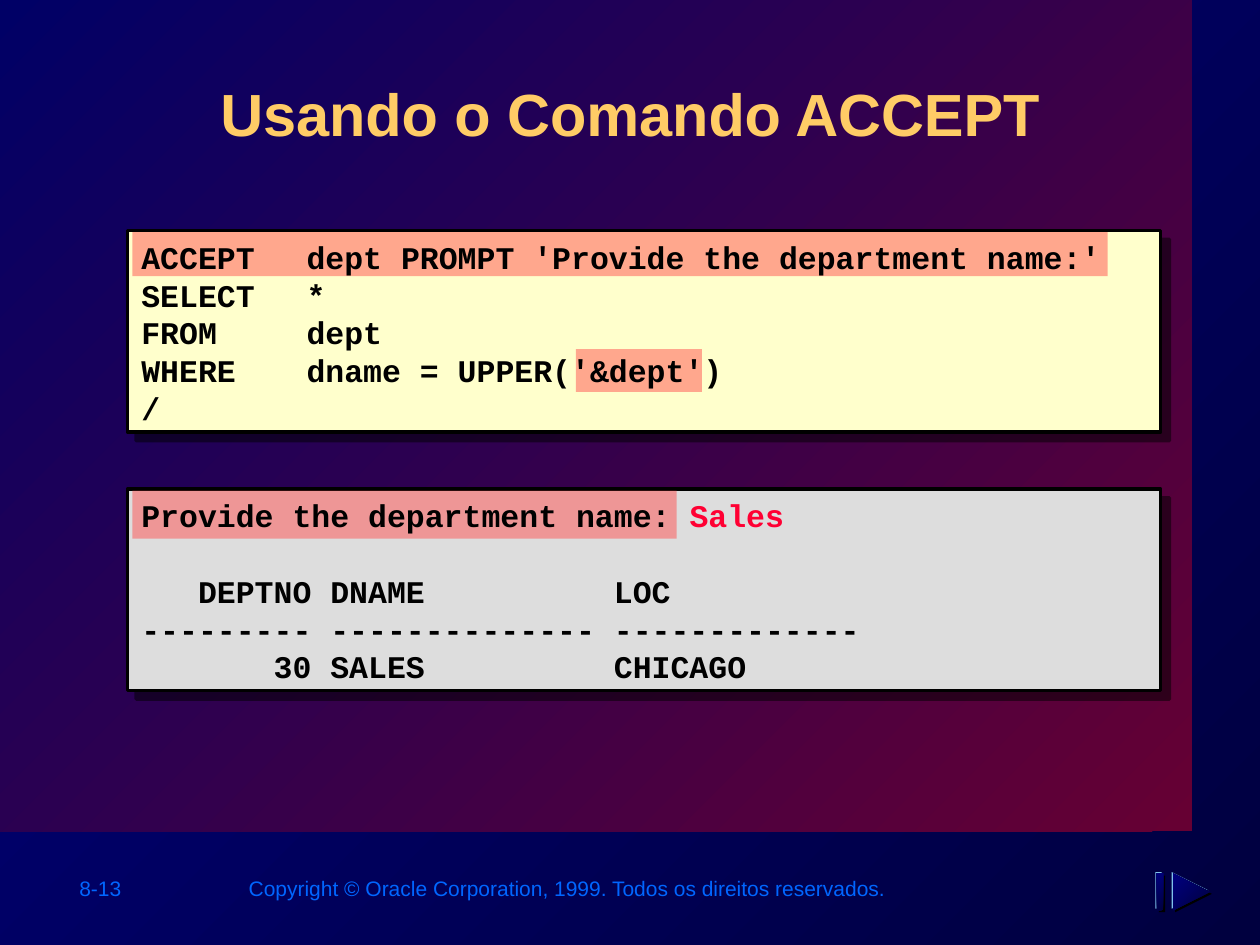
from dataclasses import dataclass

from lxml.etree import SubElement
from pptx import Presentation
from pptx.dml.color import RGBColor
from pptx.enum.shapes import MSO_SHAPE
from pptx.enum.text import MSO_ANCHOR, PP_ALIGN
from pptx.oxml import parse_xml
from pptx.oxml.ns import nsdecls, qn
from pptx.util import Cm, Pt


@dataclass(frozen=True)
class Theme:
    """Colours, fonts and type sizes of the slide."""

    night: tuple = ("00003F", "000080")
    wine: tuple = ("660033", "000066")
    title: str = "FFCC66"
    footer: str = "0066FF"
    code: str = "000000"
    answer: str = "FF0033"
    highlight: str = "FF5050"
    code_panel: str = "FFFFCC"
    result_panel: str = "DDDDDD"
    icon_light: str = "7FC1EB"
    icon_dark: str = "000000"
    sans: str = "Arial"
    mono: str = "Courier New"
    title_size: float = 34
    code_size: float = 18
    code_leading: float = 21.6
    footer_size: float = 12


THEME = Theme()


def paint(fill, colour):
    """Fill with one colour, or with a diagonal gradient for a pair."""
    if isinstance(colour, str):
        fill.solid()
        fill.fore_color.rgb = RGBColor.from_string(colour)
        return
    fill.gradient()
    fill.gradient_angle = 135
    for stop, value in zip(fill.gradient_stops, colour):
        stop.color.rgb = RGBColor.from_string(value)


def shadow_effect(distance):
    """Return a half-transparent black shadow falling to the lower right."""
    return parse_xml(
        f'<a:effectLst {nsdecls("a")}>'
        f'<a:outerShdw blurRad="0" dist="{Pt(distance)}" dir="2700000" algn="ctr" rotWithShape="0">'
        '<a:srgbClr val="000000"><a:alpha val="50000"/></a:srgbClr>'
        "</a:outerShdw></a:effectLst>"
    )


def finish(shape, colour):
    """Give a shape its fill and remove its outline and shadow."""
    shape.shadow.inherit = False
    paint(shape.fill, colour)
    shape.line.fill.background()
    return shape


def add_block(slide, left, top, width, height, colour):
    """Add a plain rectangle."""
    shape = slide.shapes.add_shape(
        MSO_SHAPE.RECTANGLE, Cm(left), Cm(top), Cm(width), Cm(height)
    )
    return finish(shape, colour)


def add_text(slide, left, top, width, height, text):
    """Add an unwrapped text box and return its text frame."""
    box = slide.shapes.add_textbox(Cm(left), Cm(top), Cm(width), Cm(height))
    text_frame = box.text_frame
    text_frame.word_wrap = False
    text_frame.text = text
    return text_frame


def style(run, font, size, colour, bold=False):
    """Format one run."""
    run.font.name = font
    run.font.size = Pt(size)
    run.font.bold = bold
    run.font.color.rgb = RGBColor.from_string(colour)


def add_title(slide, left, top, width, height, text):
    """Add the centred title with its text shadow."""
    text_frame = add_text(slide, left, top, width, height, text)
    text_frame.word_wrap = True
    paragraph = text_frame.paragraphs[0]
    paragraph.alignment = PP_ALIGN.CENTER
    run = paragraph.runs[0]
    style(run, THEME.sans, THEME.title_size, THEME.title, True)
    run.font._element.find(qn("a:solidFill")).addnext(shadow_effect(3))


def add_code_panel(slide, left, top, width, height, colour, lines, highlights):
    """Add a framed panel with highlights behind lines of code."""
    panel = add_block(slide, left, top, width, height, colour)
    panel.line.color.rgb = RGBColor.from_string(THEME.code)
    panel.line.width = Pt(2)
    properties = panel._element.spPr
    properties.replace(properties.find(qn("a:effectLst")), shadow_effect(7.1))

    for x, y, mark_width, mark_height in highlights:
        mark = add_block(
            slide, left + x, top + y, mark_width, mark_height, THEME.highlight
        )
        rgb = mark._element.spPr.find(qn("a:solidFill")).find(qn("a:srgbClr"))
        SubElement(rgb, qn("a:alpha")).set("val", "50000")

    text_frame = add_text(
        slide, left + 0.03, top - 0.02, width - 0.51, height + 0.08, "\n".join(lines)
    )
    text_frame.vertical_anchor = MSO_ANCHOR.MIDDLE
    for paragraph in text_frame.paragraphs:
        tabs = SubElement(paragraph._p.get_or_add_pPr(), qn("a:tabLst"))
        tab = SubElement(tabs, qn("a:tab"))
        tab.set("pos", str(Cm(3.33)))
        tab.set("algn", "l")
        paragraph.line_spacing = Pt(THEME.code_leading)
        for run in paragraph.runs:
            style(run, THEME.mono, THEME.code_size, THEME.code, True)
    return text_frame


def add_result_panel(slide, left, top, width, height):
    """Add the panel with the prompt, its answer and the query result."""
    lines = [
        "Provide the department name: ",
        "   DEPTNO DNAME          LOC",
        "--------- -------------- -------------",
        "       30 SALES          CHICAGO",
    ]
    highlights = [(0.1, 0.03, 10.97, 0.97)]
    text_frame = add_code_panel(
        slide, left, top, width, height, THEME.result_panel, lines, highlights
    )
    prompt, header = text_frame.paragraphs[:2]
    answer = prompt.add_run()
    answer.text = "Sales"
    style(answer, THEME.mono, THEME.code_size, THEME.answer, True)
    header.space_before = Pt(THEME.code_leading)


def add_footer(slide, left, top, width, height):
    """Add the page number and the copyright line."""
    entries = [
        (0, 2.82, "8-13", PP_ALIGN.LEFT),
        (
            width - 13.44,
            13.44,
            "Copyright © Oracle Corporation, 1999. Todos os direitos reservados.",
            PP_ALIGN.RIGHT,
        ),
    ]
    for x, entry_width, text, alignment in entries:
        text_frame = add_text(slide, left + x, top, entry_width, height, text)
        paragraph = text_frame.paragraphs[0]
        paragraph.alignment = alignment
        style(paragraph.runs[0], THEME.sans, THEME.footer_size, THEME.footer)


def add_forward_icon(slide, left, top, size):
    """Add an embossed bar and triangle, each in three shifted layers."""
    layers = [(0.07, THEME.icon_dark), (0, THEME.icon_light), (0.03, THEME.night)]
    for shift, colour in layers:
        add_block(slide, left + shift, top + shift, 0.13, size, colour)
    for shift, colour in layers:
        x, y = left + 0.33 + shift, top + shift
        builder = slide.shapes.build_freeform(Cm(x + size), Cm(y + size / 2))
        builder.add_line_segments([(Cm(x), Cm(y)), (Cm(x), Cm(y + size))])
        finish(builder.convert_to_shape(), colour)


def main():
    """Build and save the slide."""
    presentation = Presentation()
    presentation.slide_width, presentation.slide_height = Cm(25.4), Cm(19.05)
    slide = presentation.slides.add_slide(presentation.slide_layouts[6])
    paint(slide.background.fill, THEME.night)
    add_block(slide, 0, 0, 24.03, 16.76, THEME.wine)
    add_footer(slide, 1.35, 17.53, 16.76, 0.76)
    add_title(slide, 2.57, 1.42, 20.27, 2.44, "Usando o Comando ACCEPT")
    add_code_panel(
        slide, 2.57, 4.65, 20.83, 4.06, THEME.code_panel,
        [
            "ACCEPT \tdept PROMPT 'Provide the department name:'",
            "SELECT \t*",
            "FROM   \tdept",
            "WHERE  \tdname = UPPER('&dept')",
            "/",
        ],
        [(9.04, 2.39, 2.54, 0.86), (0.1, 0.03, 19.66, 0.89)],
    )
    add_result_panel(slide, 2.57, 9.86, 20.83, 4.06)
    add_forward_icon(slide, 23.29, 17.58, 0.74)
    presentation.save("out.pptx")


if __name__ == "__main__":
    main()
